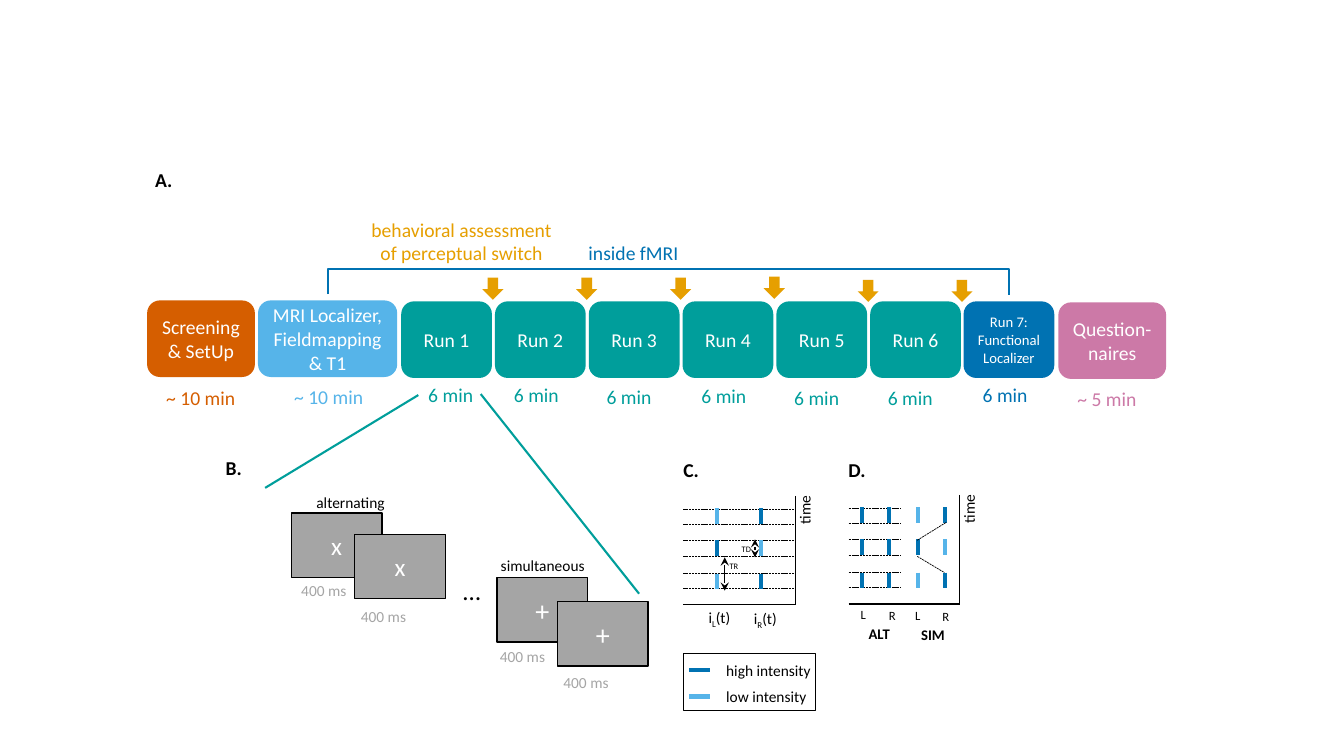
"""Build the slide on the run order and stimuli of an fMRI session."""
import lxml.etree
import pptx
import pptx.dml.color
import pptx.enum.dml
import pptx.enum.shapes
import pptx.enum.text
import pptx.oxml.ns
import pptx.util

Pt = pptx.util.Pt
RGB = pptx.dml.color.RGBColor
FORMS = pptx.enum.shapes.MSO_SHAPE
ALIGN = pptx.enum.text.PP_ALIGN
FIT = pptx.enum.text.MSO_AUTO_SIZE
DASH = pptx.enum.dml.MSO_LINE.SQUARE_DOT

BLACK = RGB(0x00, 0x00, 0x00)
WHITE = RGB(0xFF, 0xFF, 0xFF)
GRAY = RGB(0xA5, 0xA5, 0xA5)
RUST = RGB(0xD5, 0x5E, 0x00)
SKY = RGB(0x56, 0xB4, 0xE9)
TEAL = RGB(0x00, 0x9E, 0x9B)
BLUE = RGB(0x00, 0x72, 0xB2)
PINK = RGB(0xCC, 0x79, 0xA7)
GOLD = RGB(0xE6, 0x9F, 0x00)

RUN_LEFT, RUN_TOP, RUN_STEP = 286.6, 215.3, 67
RUN_TIMES = [(298.8, 270), (360, 270), (426.2, 271.4),
             (493.9, 270.7), (560.2, 272.2), (627.1, 272.2)]
SWITCH_TOPS = [198.7, 198.7, 198.7, 198, 200.2, 200.2]
STAGES = [
    ("Screening & SetUp", 105.1, 214.6, 77, RUST, 14, "~ 10 min", 111.6, 272.2),
    ("MRI Localizer, Fieldmapping & T1", 184.3, 214.6, 99.4, SKY, 14,
     "~ 10 min", 203, 271.4),
    *[(f"Run {i + 1}", RUN_LEFT + RUN_STEP * i, RUN_TOP, 64.8, TEAL, 14, "6 min", *at)
      for i, at in enumerate(RUN_TIMES)],
    ("Run 7: Functional Localizer", 688.3, RUN_TOP, 64.8, BLUE, 10.5,
     "6 min", 694.8, 270),
    ("Question-naires", 756, 216, 77, PINK, 14, "~ 5 min", 762.5, 272.9),
]
FRAMES = [("x", 18, 208.1, 366.5, 208.1, 411.8), ("x", 18, 253.4, 381.6, 250.6, 429.8),
          ("+", 20, 355, 412.6, 349.9, 458.6), ("+", 20, 398.2, 429.8, 395.3, 477.4)]
ROWS = [11.5, 22.3, 34.6, 46.1, 57.6, 68.4]
BARS = [69.1, 46.1, 22.3]
HUES = {"H": BLUE, "L": SKY}


def apply(thing, vals):
    """Set each attribute named in a dict."""
    for name, val in vals.items():
        setattr(thing, name, val)


def write(frame, parts, size, hue, align=None, bold=None):
    """Write one paragraph of (text, baseline) parts."""
    para = frame.paragraphs[0]
    para.alignment = align
    for text, base in parts:
        run = para.add_run()
        run.text = text
        apply(run.font, {"name": "Calibri", "size": Pt(size), "bold": bold})
        run.font.color.rgb = hue
        if base:
            run.font._element.set("baseline", str(base))


def label(slide, text, left, top, width, height, size, hue=BLACK, **more):
    """Add a text box that grows with its text."""
    box = slide.shapes.add_textbox(Pt(left), Pt(top), Pt(width), Pt(height))
    apply(box.text_frame, {"word_wrap": True, "auto_size": FIT.SHAPE_TO_FIT_TEXT})
    parts = [(text, 0)] if isinstance(text, str) else text
    write(box.text_frame, parts, size, hue, **more)
    return box


def block(slide, form, left, top, width, height, fill, edge=None, text="", size=14):
    """Add a filled shape with centred white text."""
    shape = slide.shapes.add_shape(form, Pt(left), Pt(top), Pt(width), Pt(height))
    shape.shadow.inherit = False
    shape.fill.solid()
    shape.fill.fore_color.rgb = fill
    if edge is None:
        shape.line.fill.background()
    else:
        shape.line.color.rgb = edge
        shape.line.width = Pt(1)
    if text:
        shape.text_frame.vertical_anchor = pptx.enum.text.MSO_ANCHOR.MIDDLE
        write(shape.text_frame, [(text, 0)], size, WHITE, ALIGN.CENTER)
    return shape


def stroke(slide, x1, y1, x2, y2, hue=BLACK, width=1, dash=None, heads=False):
    """Add a straight line, with arrowheads at both ends if asked."""
    line = slide.shapes.add_connector(
        pptx.enum.shapes.MSO_CONNECTOR.STRAIGHT, Pt(x1), Pt(y1), Pt(x2), Pt(y2))
    line.line.color.rgb = hue
    apply(line.line, {"width": Pt(width), "dash_style": dash})
    tag = pptx.oxml.ns.qn
    props = line._element.spPr
    if heads:
        for end in ("a:headEnd", "a:tailEnd"):
            lxml.etree.SubElement(props.find(tag("a:ln")), tag(end), type="stealth")
    lxml.etree.SubElement(props, tag("a:effectLst"))


def brace(slide):
    """Draw the bracket over the steps inside the scanner."""
    path_pen = slide.shapes.build_freeform(Pt(234), Pt(210.2))
    path_pen.add_line_segments(
        [(Pt(234), Pt(192.2)), (Pt(720.7), Pt(192.2)), (Pt(720.7), Pt(211))], close=False)
    shape = path_pen.convert_to_shape()
    shape.shadow.inherit = False
    shape.fill.background()
    shape.line.color.rgb = BLUE
    shape.line.width = Pt(1.5)


def panel(slide, left, right, base, reach, bars):
    """Draw time axes, dashed rows and intensity bars."""
    stroke(slide, left, base, right, base)
    stroke(slide, right, base - 77.8, right, base)
    label(slide, "time", right - 11.5, base - 79.2, 36.7, 20.9, 11).rotation = 270
    for row in ROWS:
        stroke(slide, left, base - row, reach, base - row, width=0.5, dash=DASH)
    for x, marks in bars:
        for mark, rise in zip(marks, BARS):
            top = base - rise
            stroke(slide, x, top, x, top + 11.2, HUES[mark], 3)


def session(slide):
    """Draw the row of steps with their times and switch arrows."""
    for text, left, top, width, hue, size, time, x, y in STAGES:
        block(slide, FORMS.ROUNDED_RECTANGLE, left, top, width, 54.7, hue,
              text=text, size=size)
        label(slide, time, x, y, 64.1 if "~" in time else 51.8, 24.5, 14, hue)
    brace(slide)
    label(slide, "inside fMRI", 413.3, 168.5, 79.2, 24.5, 14,
          BLUE).text_frame.word_wrap = False
    label(slide, "behavioral assessment of perceptual switch", 257, 151.9, 145.4, 41,
          14, GOLD, align=ALIGN.CENTER)
    for i, top in enumerate(SWITCH_TOPS):
        block(slide, FORMS.RIGHT_ARROW, 344.2 + RUN_STEP * i, top, 15.8, 15.1,
              GOLD).rotation = 90


def trial(slide):
    """Draw the stimulus frames and the lines that zoom in on a run."""
    for text, size, left, top, x, y in FRAMES:
        block(slide, FORMS.RECTANGLE, left, top, 64.8, 46.1, GRAY, BLACK, text, size)
        label(slide, "400 ms", x, y, 51.1, 20.9, 11, GRAY)
    dots = label(slide, "…", 304.6, 398.9, 64.8, 46.1, 18, align=ALIGN.CENTER)
    apply(dots.text_frame, {"auto_size": FIT.NONE,
                            "vertical_anchor": pptx.enum.text.MSO_ANCHOR.MIDDLE})
    label(slide, "alternating", 218.9, 348.5, 79.9, 20.9, 11)
    label(slide, "simultaneous", 350.6, 393.8, 79.9, 20.9, 11)
    stroke(slide, 298.8, 282.2, 189.4, 348.5, TEAL, 1.5)
    stroke(slide, 343.4, 281.5, 456.5, 424.1, TEAL, 1.5)


def timing(slide):
    """Draw the timing panel with its spans and legend."""
    panel(slide, 488.2, 568.1, 432, 568.1, [(511.9, "LHL"), (543.6, "HLH")])
    for side, left, top in [("L", 499, 430.6), ("R", 531.4, 431.3)]:
        label(slide, [("i", 0), (side, -25000), ("(t)", 0)], left, top, 36.7, 20.9, 11)
    for text, left, top, x, y1, y2 in [("TD", 522.7, 385.2, 539.3, 385.2, 398.2),
                                       ("TR", 514.1, 397.4, 517.7, 398.2, 421.9)]:
        label(slide, text, left, top, 24.5, 14.4, 6)
        stroke(slide, x, y1, x, y2, width=0.75, heads=True)
    block(slide, FORMS.RECTANGLE, 488.2, 466.6, 94.3, 41, WHITE, BLACK)
    for text, hue, y in [("high intensity", BLUE, 478.8), ("low intensity", SKY, 497.5)]:
        stroke(slide, 492.5, y, 507.2, y, hue, 3)
        label(slide, text, 511.6, y - 10.1, 79.9, 20.9, 11)


def modes(slide):
    """Draw the panel that sets both modes side by side."""
    panel(slide, 606.2, 685.4, 431.3, 643.7,
          [(615.6, "HHH"), (635, "HHH"), (655.6, "LHL"), (675, "HLH")])
    stroke(slide, 655.2, 385.9, 676.1, 373, width=0.5, dash=DASH)
    stroke(slide, 655.2, 397.4, 674.6, 409, width=0.5, dash=DASH)
    for text, left, top in [("L", 607.7, 429.8), ("R", 627.8, 430.6),
                            ("L", 646.6, 430.6), ("R", 666, 431.3)]:
        label(slide, text, left, top, 18, 18, 9)
    label(slide, "ALT", 613.4, 442.8, 43.2, 20.2, 10.5, bold=True)
    label(slide, "SIM", 650.9, 443.5, 46.8, 20.2, 10.5, bold=True)


def main():
    """Build and save the slide."""
    deck = pptx.Presentation()
    apply(deck, {"slide_width": Pt(960), "slide_height": Pt(540)})
    slide = deck.slides.add_slide(deck.slide_layouts[6])
    for draw in (session, trial, timing, modes):
        draw(slide)
    for text, left, top in [("A.", 103.7, 116.6), ("B.", 154.1, 321.8),
                            ("C.", 481, 323.3), ("D.", 599, 323.3)]:
        label(slide, text, left, top, 50.4, 24.5, 14, bold=True)
    deck.save("out.pptx")


if __name__ == "__main__":
    main()
